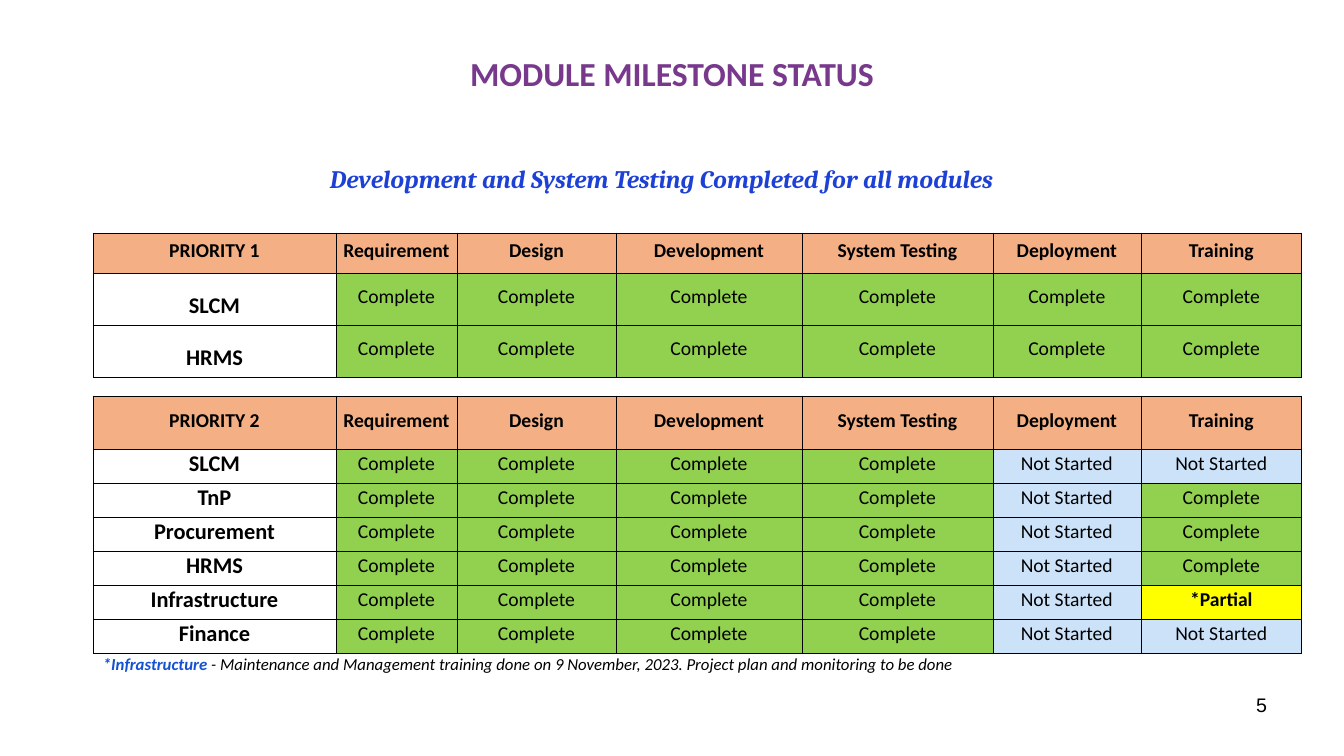
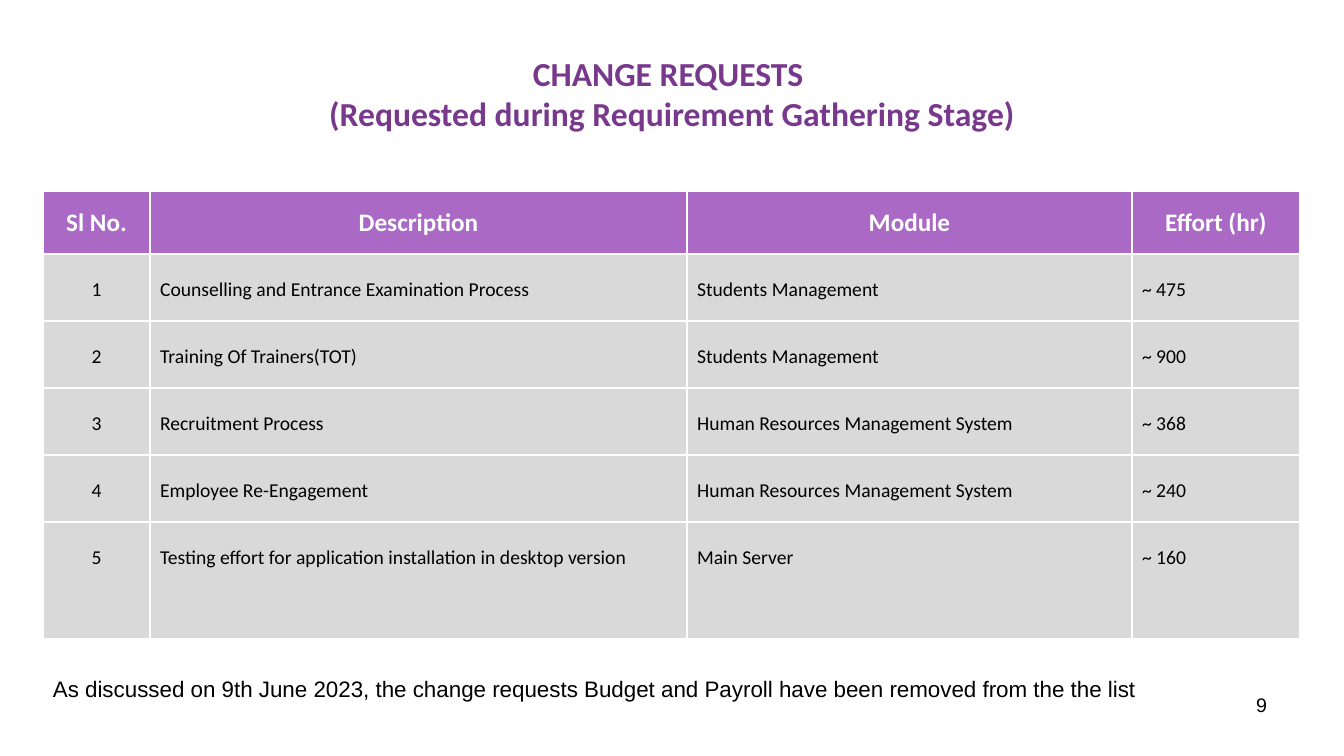
from dataclasses import dataclass

from lxml import etree
from pptx import Presentation
from pptx.dml.color import RGBColor
from pptx.enum.text import MSO_ANCHOR, MSO_AUTO_SIZE, PP_ALIGN
from pptx.oxml.ns import qn
from pptx.util import Emu, Pt

LEFT, CENTER, RIGHT = PP_ALIGN.LEFT, PP_ALIGN.CENTER, PP_ALIGN.RIGHT
TOP, MIDDLE, BOTTOM = MSO_ANCHOR.TOP, MSO_ANCHOR.MIDDLE, MSO_ANCHOR.BOTTOM
NO_FIT = MSO_AUTO_SIZE.NONE

BLACK = RGBColor(0x00, 0x00, 0x00)
WHITE = RGBColor(0xFF, 0xFF, 0xFF)
PURPLE = RGBColor(0x78, 0x39, 0x8D)
LILAC = RGBColor(0xA9, 0x69, 0xC4)
GREY = RGBColor(0xD9, 0xD9, 0xD9)
ORANGE = RGBColor(0xF4, 0xB0, 0x84)
GREEN = RGBColor(0x92, 0xD0, 0x50)
PALE_BLUE = RGBColor(0xCB, 0xE2, 0xF9)
YELLOW = RGBColor(0xFF, 0xFF, 0x00)
ROYAL_BLUE = RGBColor(0x1D, 0x41, 0xD5)
LINK_BLUE = RGBColor(0x15, 0x52, 0xD1)

BODY_FONT, PLAIN_FONT, ACCENT_FONT = "Calibri", "Arial", "Cambria"
EMU_PER_PX = 914400 / 100.8
TITLE_ONLY = 5


def px(length):
    return Emu(round(length * EMU_PER_PX))


@dataclass
class Span:
    text: str
    size: int = 14
    color: RGBColor = BLACK
    bold: bool = False
    italic: bool = False
    font: str = BODY_FONT


@dataclass
class Cell:
    span: Span
    fill: RGBColor = WHITE
    align: PP_ALIGN = CENTER
    anchor: MSO_ANCHOR = MIDDLE
    line_spacing: float = 1.0


class Deck:
    """Holds the style and the current page."""

    def __init__(self):
        self.presentation = Presentation()
        self.presentation.slide_width = px(1344)
        self.presentation.slide_height = px(756)
        self.page = None

    def add_page(self, title_lines, title_height, number):
        layout = self.presentation.slide_layouts[TITLE_ONLY]
        self.page = self.presentation.slides.add_slide(layout)
        self.title(title_lines, title_height)
        self.text((964, 688, 313, 52), [Span(number, font=PLAIN_FONT)], RIGHT)

    def add_spans(self, para, spans, align):
        para.alignment = align
        for span in spans:
            run = para.add_run()
            run.text = span.text
            run.font.name = span.font
            run.font.size = Pt(span.size)
            run.font.bold = span.bold
            run.font.italic = span.italic
            run.font.color.rgb = span.color

    def title(self, lines, height):
        box = self.page.shapes.title
        box.left, box.top, box.width, box.height = map(px, (67, 30, 1210, height))
        frame = box.text_frame
        frame.auto_size = NO_FIT
        frame.vertical_anchor = MIDDLE
        para = frame.paragraphs[0]
        for index, line in enumerate(lines):
            if index:
                para.add_line_break()
            self.add_spans(para, [Span(line, 24, PURPLE, bold=True)], CENTER)

    def text(self, at, spans, align=LEFT):
        frame = self.page.shapes.add_textbox(*map(px, at)).text_frame
        frame.word_wrap = True
        self.add_spans(frame.paragraphs[0], spans, align)

    def table(self, left, top, columns, heights, rows, border, border_width, margins=None):
        frame = self.page.shapes.add_table(
            len(rows), len(columns), px(left), px(top), px(sum(columns)), px(sum(heights)))
        table = frame.table
        table.first_row = table.horz_banding = False
        for column, width in zip(table.columns, columns):
            column.width = px(width)
        for row, height in zip(table.rows, heights):
            row.height = px(height)
        for row, cells in zip(table.rows, rows):
            for target, cell in zip(row.cells, cells):
                if margins:
                    (target.margin_left, target.margin_top,
                     target.margin_right, target.margin_bottom) = map(px, margins)
                target.vertical_anchor = cell.anchor
                para = target.text_frame.paragraphs[0]
                para.line_spacing = cell.line_spacing
                self.add_spans(para, [cell.span], cell.align)
                self.borders(target, border, border_width)
                target.fill.solid()
                target.fill.fore_color.rgb = cell.fill

    def borders(self, cell, color, width):
        properties = cell._tc.get_or_add_tcPr()
        for side in ("a:lnL", "a:lnR", "a:lnT", "a:lnB"):
            line = etree.SubElement(properties, qn(side), w=str(Pt(width)))
            fill = etree.SubElement(line, qn("a:solidFill"))
            etree.SubElement(fill, qn("a:srgbClr"), val=str(color))

    def save(self):
        self.presentation.save("out.pptx")


# Milestone tables
PHASES = ["Requirement", "Design", "Development", "System Testing", "Deployment", "Training"]
DONE, WAITING, PARTIAL = "Complete", "Not Started", "*Partial"
STATUS_FILLS = {DONE: GREEN, WAITING: PALE_BLUE, PARTIAL: YELLOW}


def milestone_rows(heading, modules):
    """Each module maps to its deployment and training status; earlier phases are done."""
    rows = [[Cell(Span(label, bold=True), ORANGE) for label in [heading] + PHASES]]
    for module, late_phases in modules.items():
        name = Cell(Span(module, 16, bold=True), anchor=BOTTOM)
        statuses = [DONE] * 4 + list(late_phases)
        rows.append([name] + [Cell(Span(status, bold=status == PARTIAL), STATUS_FILLS[status])
                              for status in statuses])
    return rows


def milestone_page(deck):
    deck.add_page(["MODULE MILESTONE STATUS"], 86, "5")
    deck.text((93, 649, 1220, 28), [
        Span("*Infrastructure", 12, LINK_BLUE, bold=True, italic=True),
        Span(" - Maintenance and Management training done on 9 November, 2023. "
             "Project plan and monitoring to be done", 12, italic=True)])

    first = {"SLCM": (DONE, DONE), "HRMS": (DONE, DONE)}
    second = {
        "SLCM": (WAITING, WAITING),
        "TnP": (WAITING, DONE),
        "Procurement": (WAITING, DONE),
        "HRMS": (WAITING, DONE),
        "Infrastructure": (WAITING, PARTIAL),
        "Finance": (WAITING, WAITING),
    }
    columns = [243, 121, 159, 186, 191, 148, 161]
    for top, heading, modules, heights in (
            (396, "PRIORITY 2", second, [53] + [34] * 6),
            (233, "PRIORITY 1", first, [40] + [52] * 2)):
        deck.table(93, top, columns, heights, milestone_rows(heading, modules),
                   BLACK, 0.5, margins=(1, 1, 1, 5))

    deck.text((203, 158, 917, 40), [
        Span("Development and System Testing Completed for all modules", 18, ROYAL_BLUE,
             bold=True, italic=True, font=ACCENT_FONT)], CENTER)


# Change requests
def change_page(deck):
    deck.add_page(["CHANGE REQUESTS ", "(Requested during Requirement Gathering Stage)"], 126, "9")
    requests = [
        ("Counselling and Entrance Examination Process", "Students Management", "~ 475"),
        ("Training Of Trainers(TOT)", "Students Management", "~ 900"),
        ("Recruitment Process", "Human Resources Management System", "~ 368"),
        ("Employee Re-Engagement", "Human Resources Management System", "~ 240"),
        ("Testing effort for application installation in desktop version",
         "Main Server", "~ 160"),
    ]
    headings = ["Sl No.", "Description", "Module", "Effort (hr)"]
    rows = [[Cell(Span(heading, 18, WHITE, bold=True), LILAC) for heading in headings]]
    for number, request in enumerate(requests, 1):
        rows.append([Cell(Span(value), GREY, align, TOP, 1.8)
                     for value, align in zip((str(number), *request), (CENTER, LEFT, LEFT, LEFT))])
    deck.table(43, 191, [107, 537, 445, 168], [63] + [67] * 4 + [117], rows, WHITE, 1)
    deck.text((43, 670, 1228, 37), [
        Span("As discussed on 9th June 2023, the change requests Budget and Payroll "
             "have been removed from the the list", 16, font=PLAIN_FONT)])


def main():
    deck = Deck()
    milestone_page(deck)
    change_page(deck)
    deck.save()


if __name__ == "__main__":
    main()
